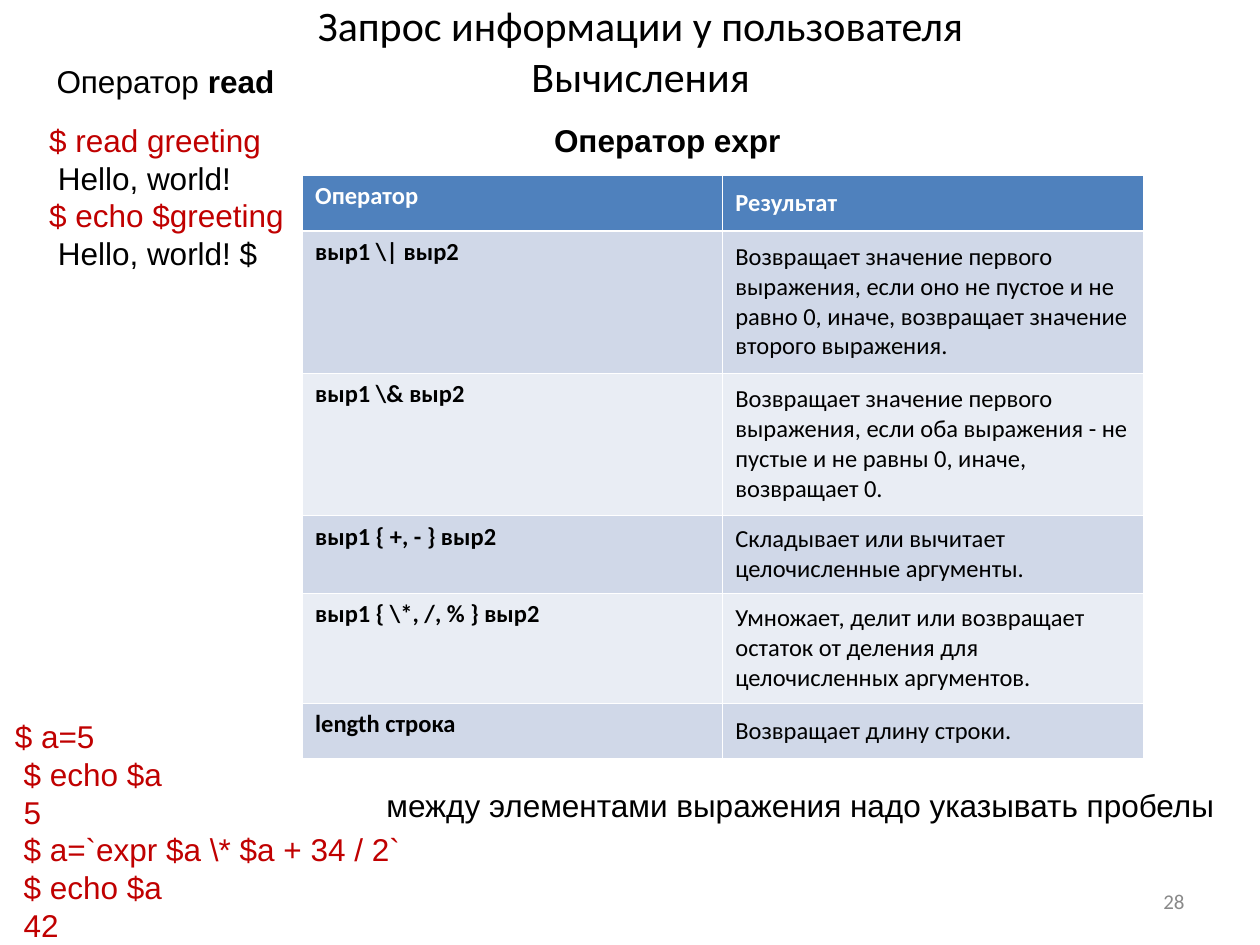
import pptx
import pptx.dml.color
import pptx.enum.text
import pptx.oxml
import pptx.oxml.ns
import pptx.util

Cm = pptx.util.Cm
Pt = pptx.util.Pt
ALIGN = pptx.enum.text.PP_ALIGN
ANCHOR = pptx.enum.text.MSO_ANCHOR

BLACK, WHITE, RED, GREY = "000000", "FFFFFF", "C00000", "898989"
HEAD, DARK, LIGHT = "4F81BD", "D0D8E8", "E9EDF4"

ROWS = [
    ("Оператор", "Результат", 1.12),
    ("выр1 \\| выр2",
     "Возвращает значение первого выражения, если оно не пустое и не "
     "равно 0, иначе, возвращает значение второго выражения.", 2.87),
    ("выр1 \\& выр2",
     "Возвращает значение первого выражения, если оба выражения - не "
     "пустые и не равны 0, иначе, возвращает 0.", 2.87),
    ("выр1 { +, - } выр2",
     "Складывает или вычитает целочисленные аргументы.", 1.57),
    ("выр1 { \\*, /, % } выр2",
     "Умножает, делит или возвращает остаток от деления для "
     "целочисленных аргументов.", 2.21),
    ("length строка", "Возвращает длину строки.", 1.12),
]


def paint(color, code):
    color.rgb = pptx.dml.color.RGBColor.from_string(code)


def write(para, text, font="Arial", size=18, color=BLACK, bold=False,
          align=ALIGN.LEFT):
    """Append formatted text to the paragraph; a newline breaks the line."""
    para.alignment = align
    for i, part in enumerate(text.split("\n")):
        if i:
            para.add_line_break()
        run = para.add_run()
        run.text = part
        run.font.name = font
        run.font.size = Pt(size)
        run.font.bold = bold
        paint(run.font.color, color)


def add_box(slide, left, top, width, height, lines, wrap=False,
            anchor=ANCHOR.TOP, **style):
    """Add a text box; each line is a list of (text, extra format) runs."""
    box = slide.shapes.add_textbox(Cm(left), Cm(top), Cm(width), Cm(height))
    frame = box.text_frame
    frame.word_wrap = wrap
    frame.vertical_anchor = anchor
    for i, line in enumerate(lines):
        para = frame.add_paragraph() if i else frame.paragraphs[0]
        for text, extra in line:
            write(para, text, **{**style, **extra})


def add_title(slide):
    title = slide.shapes.title
    title.left, title.top = Cm(1.5), Cm(0.53)
    title.width, title.height = Cm(22.83), Cm(0.97)
    frame = title.text_frame
    frame.margin_left = frame.margin_right = 0
    frame.margin_top = frame.margin_bottom = 0
    frame.vertical_anchor = ANCHOR.MIDDLE
    frame.auto_size = pptx.enum.text.MSO_AUTO_SIZE.NONE
    write(frame.paragraphs[0],
          "Запрос информации у пользователя\nВычисления",
          font="Calibri", size=24, align=ALIGN.CENTER)


def edge_cell(cell, sides):
    """Draw white borders, given as a width in points for each side."""
    props = cell._tc.get_or_add_tcPr()
    for i, (side, width) in enumerate(sides.items()):
        line = pptx.oxml.parse_xml(
            f'<a:ln{side} {pptx.oxml.ns.nsdecls("a")} w="{Pt(width)}">'
            f'<a:solidFill><a:srgbClr val="{WHITE}"/></a:solidFill>'
            f'</a:ln{side}>')
        props.insert(i, line)


def add_grid(slide):
    height = sum(row[2] for row in ROWS)
    grid = slide.shapes.add_table(
        len(ROWS), 2, Cm(6.1), Cm(3.53), Cm(16.94), Cm(height)).table
    for col in grid.columns:
        col.width = Cm(8.47)
    for i, (*texts, tall) in enumerate(ROWS):
        grid.rows[i].height = Cm(tall)
        fill = DARK if i % 2 else LIGHT
        for j, text in enumerate(texts):
            cell = grid.cell(i, j)
            cell.vertical_anchor = ANCHOR.MIDDLE if j else ANCHOR.TOP
            cell.fill.solid()
            paint(cell.fill.fore_color, fill if i else HEAD)
            edge_cell(cell, {"L": 0.45, "R": 0.45,
                             "T": 1.5 if i == 1 else 0.45,
                             "B": 0.45 if i else 1.5})
            write(cell.text_frame.paragraphs[0], text, font="Calibri",
                  size=14, color=BLACK if i else WHITE,
                  bold=i == 0 or j == 0)


def main():
    deck = pptx.Presentation()
    deck.slide_width, deck.slide_height = Cm(25.4), Cm(19.05)
    slide = deck.slides.add_slide(deck.slide_layouts[5])
    add_title(slide)
    add_box(slide, 18.21, 17.65, 5.92, 1.02, [[("28", {})]], wrap=True,
            anchor=ANCHOR.MIDDLE, font="Calibri", size=12, color=GREY,
            align=ALIGN.RIGHT)
    red = {"color": RED}
    add_box(slide, 0.74, 2.31, 5.23, 3.3, [
        [("$ read greeting", red)],
        [(" Hello, world!", {})],
        [("$ echo $greeting", red)],
        [(" Hello, world! $", {})]])
    add_box(slide, 0.89, 1.12, 4.95, 1.02,
            [[("Оператор ", {}), ("read", {"bold": True})]], wrap=True)
    add_box(slide, 10.92, 2.31, 5.08, 1.02, [[("Оператор expr", {})]],
            bold=True)
    add_grid(slide)
    code = ["$ a=5", " $ echo $a", " 5", " $ a=`expr $a \\* $a + 34 / 2`",
            " $ echo $a", " 42"]
    add_box(slide, 0.05, 14.33, 8.28, 4.83,
            [[(line, {})] for line in code], color=RED)
    add_box(slide, 7.54, 15.72, 17.27, 1.02,
            [[("между элементами выражения надо указывать пробелы", {})]])
    deck.save("out.pptx")


if __name__ == "__main__":
    main()
